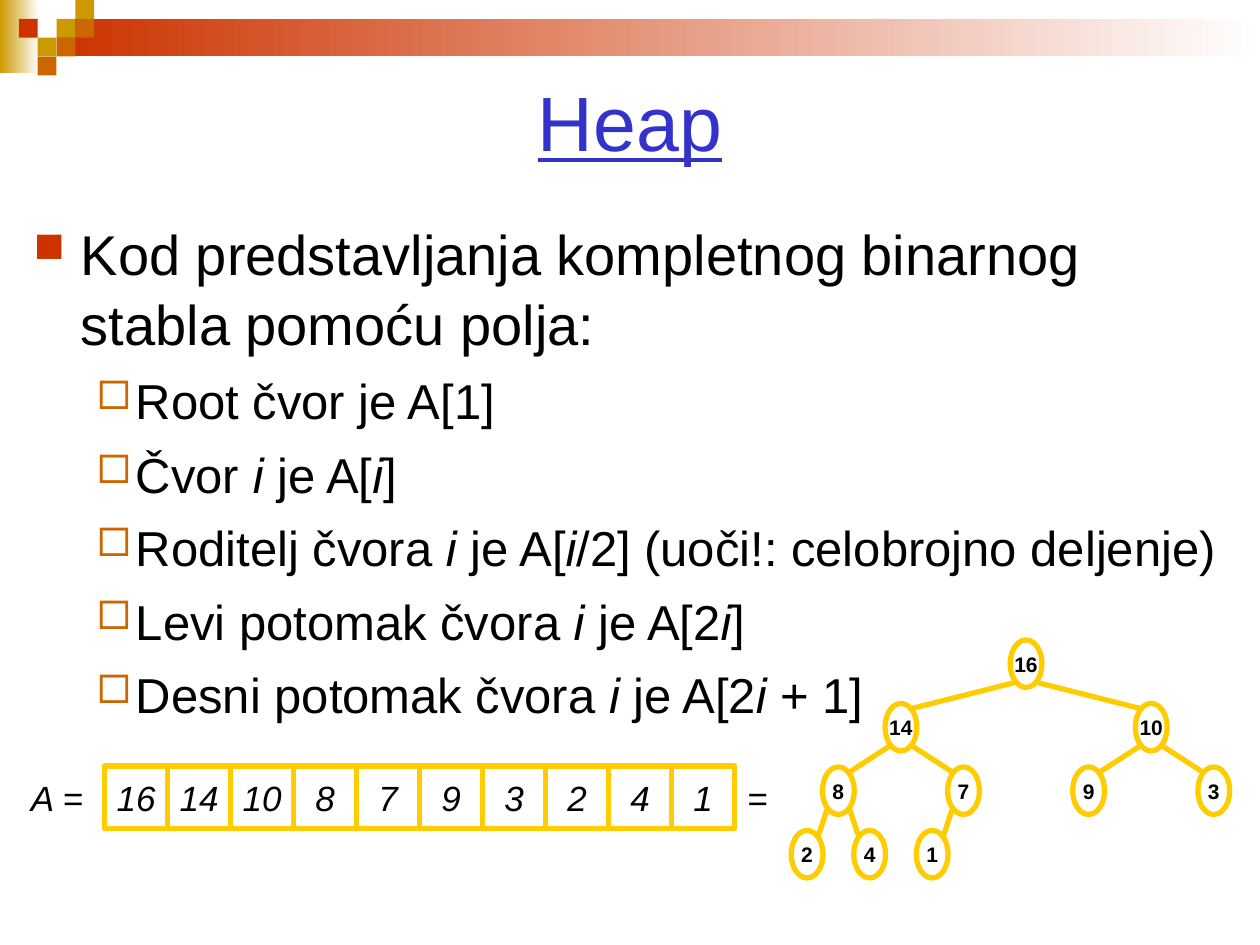
from typing import NamedTuple

from lxml import etree
from pptx import Presentation
from pptx.dml.color import RGBColor
from pptx.enum.shapes import MSO_CONNECTOR, MSO_SHAPE
from pptx.enum.text import MSO_ANCHOR, PP_ALIGN
from pptx.oxml.ns import qn
from pptx.util import Cm, Pt

RECTANGLE, OVAL = MSO_SHAPE.RECTANGLE, MSO_SHAPE.OVAL
STRAIGHT = MSO_CONNECTOR.STRAIGHT
CENTER, LEFT = PP_ALIGN.CENTER, PP_ALIGN.LEFT
MIDDLE, TOP = MSO_ANCHOR.MIDDLE, MSO_ANCHOR.TOP

BLACK, WHITE, BLUE = "000000", "FFFFFF", "3333CC"
YELLOW, GOLD, ORANGE, RED = "FFCC00", "CC9900", "CC6600", "CC3300"

HEAP = [16, 14, 10, 8, 7, 9, 3, 2, 4, 1]

# Lengths in centimetres
TILE = 0.38
CELL, ARRAY_LEFT, ARRAY_TOP = 1.27, 2.11, 15.44
TREE_LEFT, TREE_WIDTH, TREE_TOP, LEVEL_STEP = 15.64, 10.09, 12.9, 1.28
NODE_WIDTH, NODE_HEIGHT = 0.64, 0.96
EDGE_DX, EDGE_DY = 0.23, 0.38


class Box(NamedTuple):
    left: float
    top: float
    width: float
    height: float

    def emu(self) -> list:
        return [Cm(length) for length in self]


class Tile(NamedTuple):
    column: int
    row: int
    color: str


class Level(NamedTuple):
    size: int
    margin: float
    hanging: float
    space: int
    bullet: str
    bullet_color: str
    bullet_percent: int


class Item(NamedTuple):
    level: int
    text: str


TILES = [
    Tile(3, 1, GOLD), Tile(4, 0, GOLD), Tile(4, 1, ORANGE), Tile(2, 2, GOLD),
    Tile(1, 1, RED), Tile(3, 2, ORANGE), Tile(2, 3, ORANGE),
]

# Wingdings codes: n is a filled square, ¨ an open one
LEVELS = [
    Level(32, 0.95, 0.95, 8, "n", RED, 75),
    Level(28, 2.06, 0.79, 7, "¨", ORANGE, 80),
]

# Asterisks enclose italic parts
ITEMS = [
    Item(0, "Kod predstavljanja kompletnog binarnog stabla pomoću polja:"),
    Item(1, "Root čvor je A[1]"),
    Item(1, "Čvor *i *je A[*i*]"),
    Item(1, "Roditelj čvora *i *je A[*i*/2] (uoči!: celobrojno deljenje)"),
    Item(1, "Levi potomak čvora *i *je A[2*i*]"),
    Item(1, "Desni potomak čvora *i *je A[2*i* + 1]"),
]


def rgb(color: str) -> RGBColor:
    return RGBColor.from_string(color)


def write(paragraph, text: str, *, size: int, color: str = BLACK, bold: bool = False,
          underline: bool = False, align=CENTER) -> None:
    """Add text in Arial, with the parts between asterisks in italics."""
    paragraph.alignment = align
    for index, part in enumerate(text.split("*")):
        if part:
            run = paragraph.add_run()
            run.text = part
            font = run.font
            font.name, font.size, font.bold = "Arial", Pt(size), bold
            font.italic, font.underline = index % 2 == 1, underline
            font.color.rgb = rgb(color)


def set_frame(frame, *, wrap: bool, anchor) -> None:
    frame.word_wrap = wrap
    frame.vertical_anchor = anchor


def add_plain_shape(slide, kind, box: Box, color: str, fade: bool = False):
    """Add a shape without outline; fade runs from the colour to white."""
    shape = slide.shapes.add_shape(kind, *box.emu())
    shape.shadow.inherit = False
    shape.line.fill.background()
    if fade:
        shape.fill.gradient()
        shape.fill.gradient_angle = 0
        for stop, position, shade in zip(shape.fill.gradient_stops, (0, 1), (color, WHITE)):
            stop.position, stop.color.rgb = position, rgb(shade)
    else:
        shape.fill.solid()
        shape.fill.fore_color.rgb = rgb(color)
    return shape


def add_value(slide, kind, box: Box, text: str, *, size: int, bold: bool = False) -> None:
    shape = add_plain_shape(slide, kind, box, WHITE)
    shape.line.color.rgb = rgb(YELLOW)
    shape.line.width = Pt(3)
    set_frame(shape.text_frame, wrap=False, anchor=MIDDLE)
    write(shape.text_frame.paragraphs[0], text, size=size, bold=bold)


def add_label(slide, box: Box, text: str) -> None:
    frame = slide.shapes.add_textbox(*box.emu()).text_frame
    set_frame(frame, wrap=False, anchor=MIDDLE)
    write(frame.paragraphs[0], text, size=20)


def add_bullet(paragraph, level: Level, depth: int) -> None:
    properties = paragraph._p.get_or_add_pPr()
    properties.set("marL", str(Cm(level.margin)))
    properties.set("indent", str(-Cm(level.hanging)))
    if depth:
        properties.set("lvl", str(depth))
    color = etree.SubElement(properties, qn("a:buClr"))
    etree.SubElement(color, qn("a:srgbClr"), val=level.bullet_color)
    etree.SubElement(properties, qn("a:buSzPct"), val=str(level.bullet_percent * 1000))
    etree.SubElement(properties, qn("a:buFont"), typeface="Wingdings", charset="2")
    etree.SubElement(properties, qn("a:buChar"), char=level.bullet)


def add_header(slide) -> None:
    add_plain_shape(slide, RECTANGLE, Box(0, 0, 0.79, 1.47), GOLD, fade=True)
    add_plain_shape(slide, RECTANGLE, Box(3 * TILE, TILE, 24.26, 2 * TILE), RED, fade=True)
    for tile in TILES:
        box = Box(tile.column * TILE, tile.row * TILE, TILE, TILE)
        add_plain_shape(slide, RECTANGLE, box, tile.color)


def add_title(slide, text: str) -> None:
    title = slide.shapes.title
    title.left, title.top, title.width, title.height = Box(1.27, 1.27, 22.86, 2.34).emu()
    set_frame(title.text_frame, wrap=True, anchor=MIDDLE)
    write(title.text_frame.paragraphs[0], text, size=44, color=BLUE, underline=True)


def add_items(slide) -> None:
    frame = slide.shapes.add_textbox(*Box(0.43, 4.24, 24.56, 12.07).emu()).text_frame
    set_frame(frame, wrap=True, anchor=TOP)
    for index, item in enumerate(ITEMS):
        level = LEVELS[item.level]
        paragraph = frame.add_paragraph() if index else frame.paragraphs[0]
        add_bullet(paragraph, level, item.level)
        paragraph.line_spacing = 1.04
        paragraph.space_before = Pt(level.space if index else 0)
        write(paragraph, item.text, size=level.size, align=LEFT)


def node_center(number: int) -> tuple[float, float]:
    """Place a node by its heap number, counted from 1."""
    depth = number.bit_length() - 1
    slots = 2 ** depth
    x = TREE_LEFT + TREE_WIDTH * (number - slots + 0.5) / slots
    return x, TREE_TOP + depth * LEVEL_STEP + NODE_HEIGHT / 2


def add_tree(slide) -> None:
    for number, value in enumerate(HEAP, start=1):
        x, y = node_center(number)
        box = Box(x - NODE_WIDTH / 2, y - NODE_HEIGHT / 2, NODE_WIDTH, NODE_HEIGHT)
        add_value(slide, OVAL, box, str(value), size=12, bold=True)
    for number in range(2, len(HEAP) + 1):
        parent_x, parent_y = node_center(number // 2)
        x, y = node_center(number)
        dx = EDGE_DX if x > parent_x else -EDGE_DX
        ends = (parent_x + dx, parent_y + EDGE_DY, x - dx, y - EDGE_DY)
        edge = slide.shapes.add_connector(STRAIGHT, *[Cm(end) for end in ends])
        edge.line.color.rgb = rgb(YELLOW)
        edge.line.width = Pt(3)
        etree.SubElement(edge._element.spPr, qn("a:effectLst"))


def add_array(slide) -> None:
    for index, value in enumerate(HEAP):
        box = Box(ARRAY_LEFT + index * CELL, ARRAY_TOP, CELL, CELL)
        add_value(slide, RECTANGLE, box, f"*{value}*", size=20)
    add_label(slide, Box(0.2, ARRAY_TOP, 1.9, CELL), "*A =*")
    add_label(slide, Box(ARRAY_LEFT + len(HEAP) * CELL, ARRAY_TOP, 0.84, CELL), "*=*")


def main() -> None:
    deck = Presentation()
    deck.slide_width, deck.slide_height = Cm(25.4), Cm(19.05)
    slide = deck.slides.add_slide(deck.slide_layouts[5])
    add_header(slide)
    add_title(slide, "Heap")
    add_items(slide)
    add_tree(slide)
    add_array(slide)
    deck.save("out.pptx")


if __name__ == "__main__":
    main()
